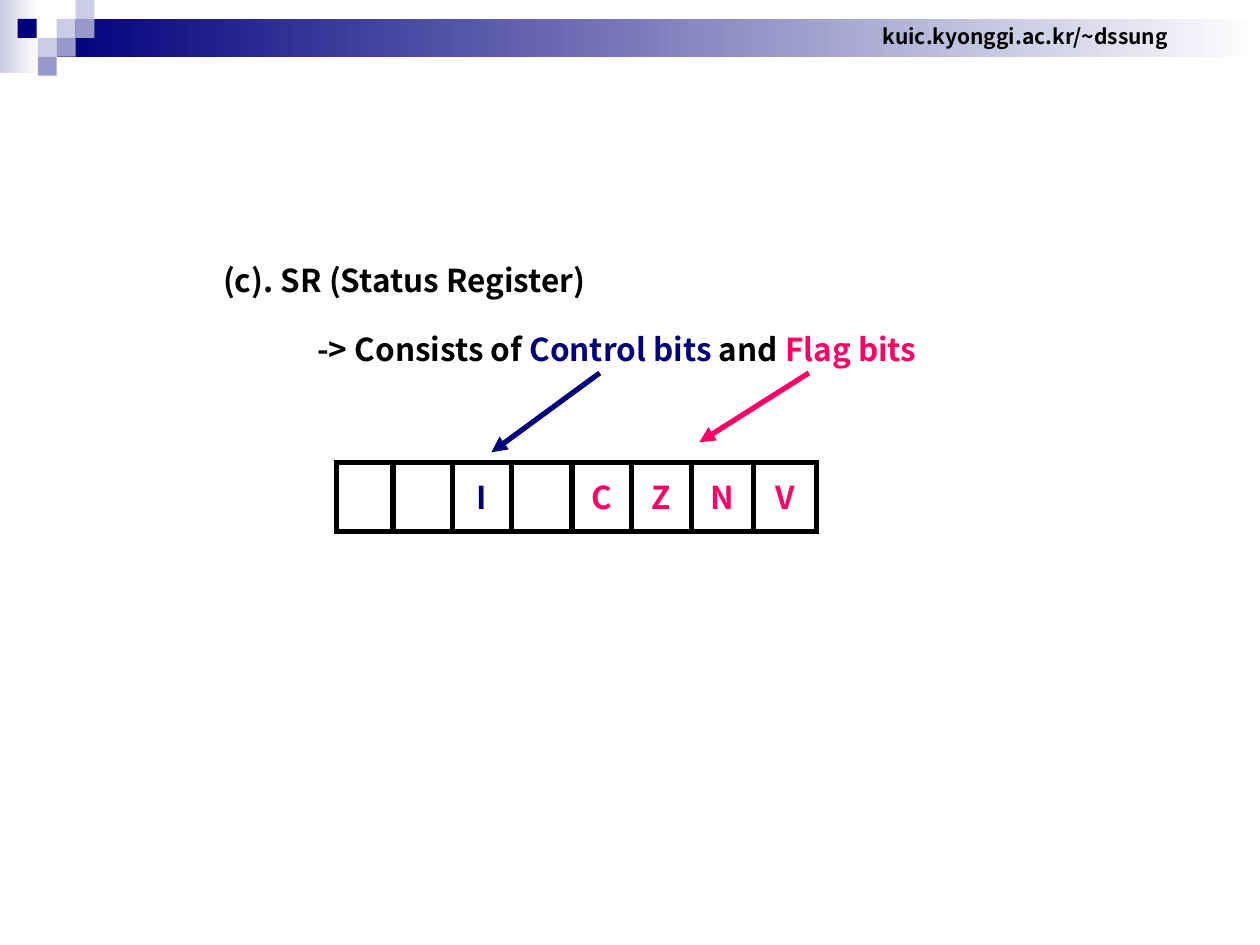
import pptx
import pptx.dml.color
import pptx.enum.shapes
import pptx.enum.text
import pptx.oxml
import pptx.oxml.ns
import pptx.util
from pptx.util import Inches

COLORS = {
    "black": "000000",
    "white": "FFFFFF",
    "navy": "00007D",
    "pink": "FF0066",
    "lavender": "CCCCE6",
    "violet": "9999CC",
}


def rgb(name):
    return pptx.dml.color.RGBColor.from_string(COLORS[name])


class SlideBuilder:
    """Holds the text and line style and draws elements on the current slide."""

    font = "Noto Sans CJK KR"
    line_width = 3

    def __init__(self, slide):
        self.slide = slide

    def rectangle(self, left, top, width, height, color, fade=False):
        shape = self.slide.shapes.add_shape(
            pptx.enum.shapes.MSO_SHAPE.RECTANGLE,
            Inches(left), Inches(top), Inches(width), Inches(height))
        shape.shadow.inherit = False
        shape.line.fill.background()
        if fade:
            shape.fill.gradient()
            shape.fill.gradient_angle = 180
            for stop, name in zip(shape.fill.gradient_stops, ("white", color)):
                stop.color.rgb = rgb(name)
        else:
            shape.fill.solid()
            shape.fill.fore_color.rgb = rgb(color)

    def set_text(self, shape, runs, size=18, align="LEFT"):
        frame = shape.text_frame
        frame.word_wrap = False
        frame.auto_size = pptx.enum.text.MSO_AUTO_SIZE.NONE
        frame.vertical_anchor = pptx.enum.text.MSO_ANCHOR.MIDDLE
        paragraph = frame.paragraphs[0]
        paragraph.alignment = getattr(pptx.enum.text.PP_ALIGN, align)
        paragraph.font.name = self.font
        paragraph.font.size = pptx.util.Pt(size)
        paragraph.font.bold = True
        for text, color in runs:
            run = paragraph.add_run()
            run.text = text
            run.font.color.rgb = rgb(color)

    def title(self, left, top, width, height, text):
        shape = self.slide.shapes.title
        shape.left, shape.top = Inches(left), Inches(top)
        shape.width, shape.height = Inches(width), Inches(height)
        self.set_text(shape, [(text, "black")])

    def text(self, left, top, width, height, runs, **style):
        shape = self.slide.shapes.add_textbox(
            Inches(left), Inches(top), Inches(width), Inches(height))
        self.set_text(shape, runs, **style)

    def line(self, start, end, color="black", arrow=False):
        connector = self.slide.shapes.add_connector(
            pptx.enum.shapes.MSO_CONNECTOR.STRAIGHT,
            *(Inches(value) for value in (*start, *end)))
        connector.line.color.rgb = rgb(color)
        connector.line.width = pptx.util.Pt(self.line_width)
        namespace = pptx.oxml.ns.nsdecls("a")
        properties = connector._element.spPr
        if arrow:
            outline = properties.find(pptx.oxml.ns.qn("a:ln"))
            outline.append(pptx.oxml.parse_xml(
                f'<a:tailEnd {namespace} type="triangle"/>'))
        properties.append(pptx.oxml.parse_xml(f"<a:effectLst {namespace}/>"))

    def header(self):
        self.rectangle(0, 0, 0.31, 0.58, "lavender", fade=True)
        self.rectangle(0.45, 0.15, 9.55, 0.3, "navy", fade=True)
        side = 0.15
        squares = [
            (0.45, 0.15, "lavender"), (0.6, 0, "lavender"),
            (0.6, 0.15, "violet"), (0.3, 0.3, "lavender"),
            (0.14, 0.15, "navy"), (0.45, 0.3, "violet"),
            (0.3, 0.45, "violet"),
        ]
        for left, top, color in squares:
            self.rectangle(left, top, side, side, color)
        self.text(6.91, 0.14, 2.47, 0.3,
                  [("kuic.kyonggi.ac.kr/~dssung", "black")], size=12)

    def register(self, edges, top, bottom, bits):
        overhang = 0.02
        for y in (top, bottom):
            self.line((edges[0] - overhang, y), (edges[-1] + overhang, y))
        for x in edges:
            self.line((x, top), (x, bottom))
        width, height = 0.36, 0.4
        for left, right, bit in zip(edges, edges[1:], bits):
            if bit:
                color = "navy" if bit == "I" else "pink"
                self.text((left + right - width) / 2, (top + bottom - height) / 2,
                          width, height, [(bit, color)], align="CENTER")


def main():
    presentation = pptx.Presentation()
    presentation.slide_width = Inches(10)
    presentation.slide_height = Inches(7.5)
    title_only = presentation.slide_layouts[5]
    builder = SlideBuilder(presentation.slides.add_slide(title_only))

    builder.header()
    builder.title(1.67, 2.02, 3.13, 0.4, "(c). SR (Status Register)")
    builder.text(2.42, 2.57, 5.09, 0.4, [
        ("-> Consists of ", "black"), ("Control bits", "navy"),
        (" and ", "black"), ("Flag bits", "pink")])
    builder.register(
        [2.67, 3.12, 3.59, 4.06, 4.54, 5.01, 5.49, 5.98, 6.48],
        3.67, 4.22, ["", "", "I", "", "C", "Z", "N", "V"])
    builder.line((4.76, 2.96), (3.9, 3.59), "navy", arrow=True)
    builder.line((6.42, 2.96), (5.55, 3.51), "pink", arrow=True)

    presentation.save("out.pptx")


if __name__ == "__main__":
    main()
